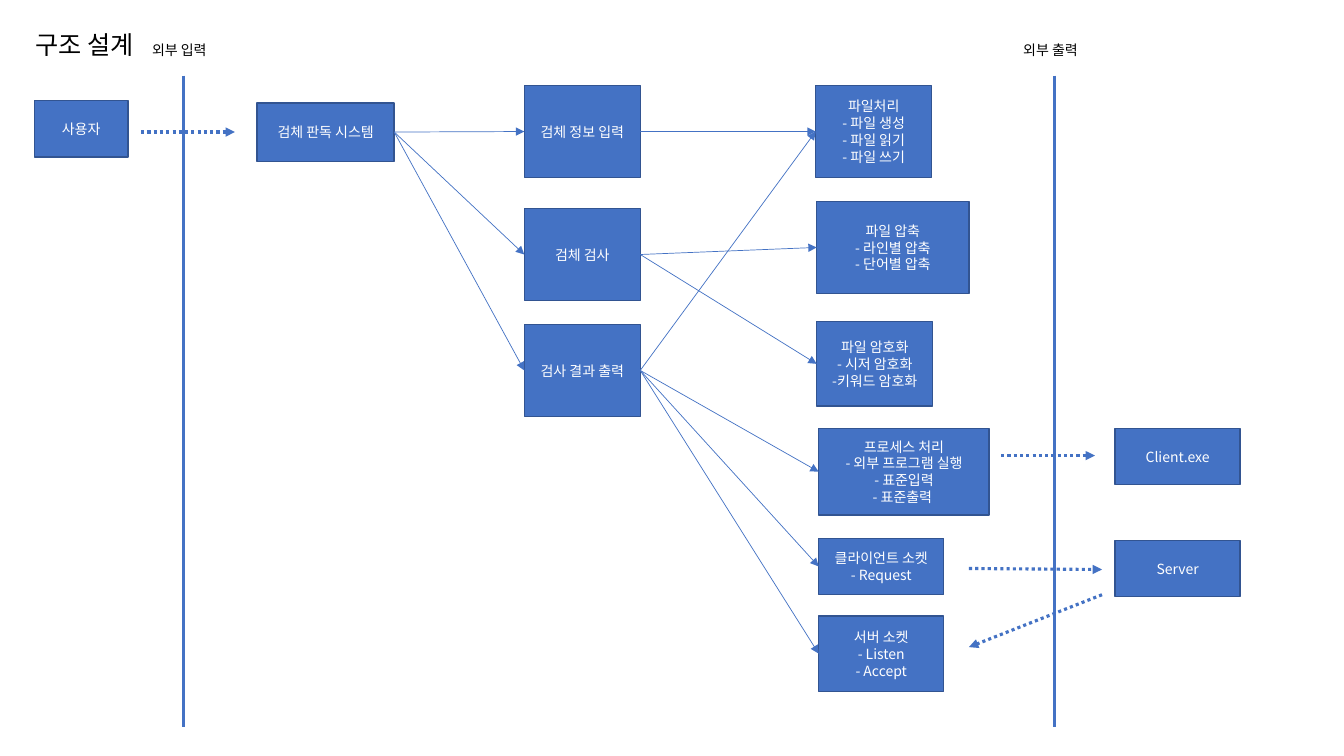
from lxml import etree
from pptx import Presentation
from pptx import util as u
from pptx.dml.color import RGBColor
from pptx.enum import dml, shapes, text
from pptx.oxml import ns

THEME = {
    "font": "Noto Sans CJK KR",
    "blue": RGBColor(0x44, 0x72, 0xC4),
    "edge": RGBColor(0x32, 0x54, 0x91),
    "white": RGBColor(0xFF, 0xFF, 0xFF),
    "black": RGBColor(0, 0, 0),
    "title": u.Pt(18),
    "body": u.Pt(10),
    "edge_width": u.Pt(1),
    "thin": u.Pt(0.5),
    "thick": u.Pt(2.25),
}


def write(sp, content, size, color, align, frame):
    tf = sp.text_frame
    tf.text = content
    for name, value in frame.items():
        setattr(tf, name, value)
    for p in tf.paragraphs:
        p.alignment = align
        for r in p.runs:
            for name, value in {"name": THEME["font"], "size": size}.items():
                setattr(r.font, name, value)
            r.font.color.rgb = color
            ea = etree.SubElement(r.font._element, ns.qn("a:ea"))
            ea.set("typeface", THEME["font"])


def connect(start, end, width, arrow=True, dash=None):
    points = [u.Inches(v) for v in (*start, *end)]
    cn = s.shapes.add_connector(shapes.MSO_CONNECTOR.STRAIGHT, *points)
    cn.line.color.rgb = THEME["blue"]
    cn.line.width = width
    if dash:
        cn.line.dash_style = dash
    if arrow:
        tail = etree.SubElement(cn.line._get_or_add_ln(), ns.qn("a:tailEnd"))
        tail.set("type", "triangle")
    etree.SubElement(cn._element.spPr, ns.qn("a:effectLst"))
    return cn


prs = Presentation()
prs.slide_width, prs.slide_height = u.Inches(13.33), u.Inches(7.5)
s = prs.slides.add_slide(prs.slide_layouts[5])

label_frame = {
    "word_wrap": False,
    "auto_size": text.MSO_AUTO_SIZE.SHAPE_TO_FIT_TEXT,
    "vertical_anchor": text.MSO_ANCHOR.TOP,
}
box_frame = {"word_wrap": True, "vertical_anchor": text.MSO_ANCHOR.MIDDLE}

title = s.shapes.title
title_place = {"left": 0.25, "top": 0.24, "width": 1.3, "height": 0.4}
for name, value in title_place.items():
    setattr(title, name, u.Inches(value))
write(title, "구조 설계", THEME["title"], THEME["black"], text.PP_ALIGN.LEFT, label_frame)

boxes = {
    "user": (0.34, 1, 0.93, 0.56, "사용자"),
    "system": (2.55, 1.02, 1.36, 0.58, "검체 판독 시스템"),
    "entry": (5.2, 0.85, 1.15, 0.91, "검체 정보 입력"),
    "test": (5.2, 2.07, 1.15, 0.91, "검체 검사"),
    "result": (5.2, 3.22, 1.15, 0.91, "검사 결과 출력"),
    "file": (8.09, 0.85, 1.15, 0.91, "파일처리\n- 파일 생성\n- 파일 읽기\n- 파일 쓰기"),
    "compress": (8.1, 2, 1.51, 0.91, "파일 압축\n- 라인별 압축\n- 단어별 압축"),
    "encrypt": (8.1, 3.19, 1.15, 0.84, "파일 암호화\n- 시저 암호화\n-키워드 암호화"),
    "process": (8.12, 4.25, 1.69, 0.86,
                "프로세스 처리\n- 외부 프로그램 실행\n- 표준입력\n- 표준출력 "),
    "client_socket": (8.12, 5.34, 1.24, 0.56, "클라이언트 소켓\n- Request"),
    "server_socket": (8.12, 6.11, 1.24, 0.75, "서버 소켓\n- Listen\n- Accept"),
    "client": (11.06, 4.25, 1.24, 0.56, "Client.exe"),
    "server": (11.06, 5.36, 1.24, 0.56, "Server"),
}
nodes = {}
for key, (*place, content) in boxes.items():
    sp = s.shapes.add_shape(shapes.MSO_SHAPE.RECTANGLE, *[u.Inches(v) for v in place])
    sp.shadow.inherit = False
    sp.fill.solid()
    sp.fill.fore_color.rgb = THEME["blue"]
    sp.line.color.rgb = THEME["edge"]
    sp.line.width = THEME["edge_width"]
    write(sp, content, THEME["body"], THEME["white"], text.PP_ALIGN.CENTER, box_frame)
    nodes[key] = sp

calls = {
    "system": ["entry", "test", "result"],
    "entry": ["file"],
    "test": ["compress", "encrypt"],
    "result": ["file", "process", "client_socket", "server_socket"],
}
LEFT_SITE, RIGHT_SITE = 1, 3
for caller, targets in calls.items():
    for target in targets:
        cn = connect((0, 0), (1, 1), THEME["thin"])
        cn.begin_connect(nodes[caller], RIGHT_SITE)
        cn.end_connect(nodes[target], LEFT_SITE)

for x, label_x, label in [(1.82, 1.41, "외부 입력"), (10.46, 10.05, "외부 출력")]:
    connect((x, 0.75), (x, 7.21), THEME["thick"], arrow=False)
    tb = s.shapes.add_textbox(*[u.Inches(v) for v in (label_x, 0.36, 0.81, 0.27)])
    write(tb, label, THEME["body"], THEME["black"], text.PP_ALIGN.LEFT, label_frame)

external_flows = [
    ((1.4, 1.31), (2.33, 1.31)),
    ((9.93, 4.52), (10.86, 4.52)),
    ((9.61, 5.64), (10.93, 5.65)),
    ((10.93, 5.9), (9.61, 6.42)),
]
for start, end in external_flows:
    connect(start, end, THEME["thick"], dash=dml.MSO_LINE.ROUND_DOT)

prs.save("out.pptx")
